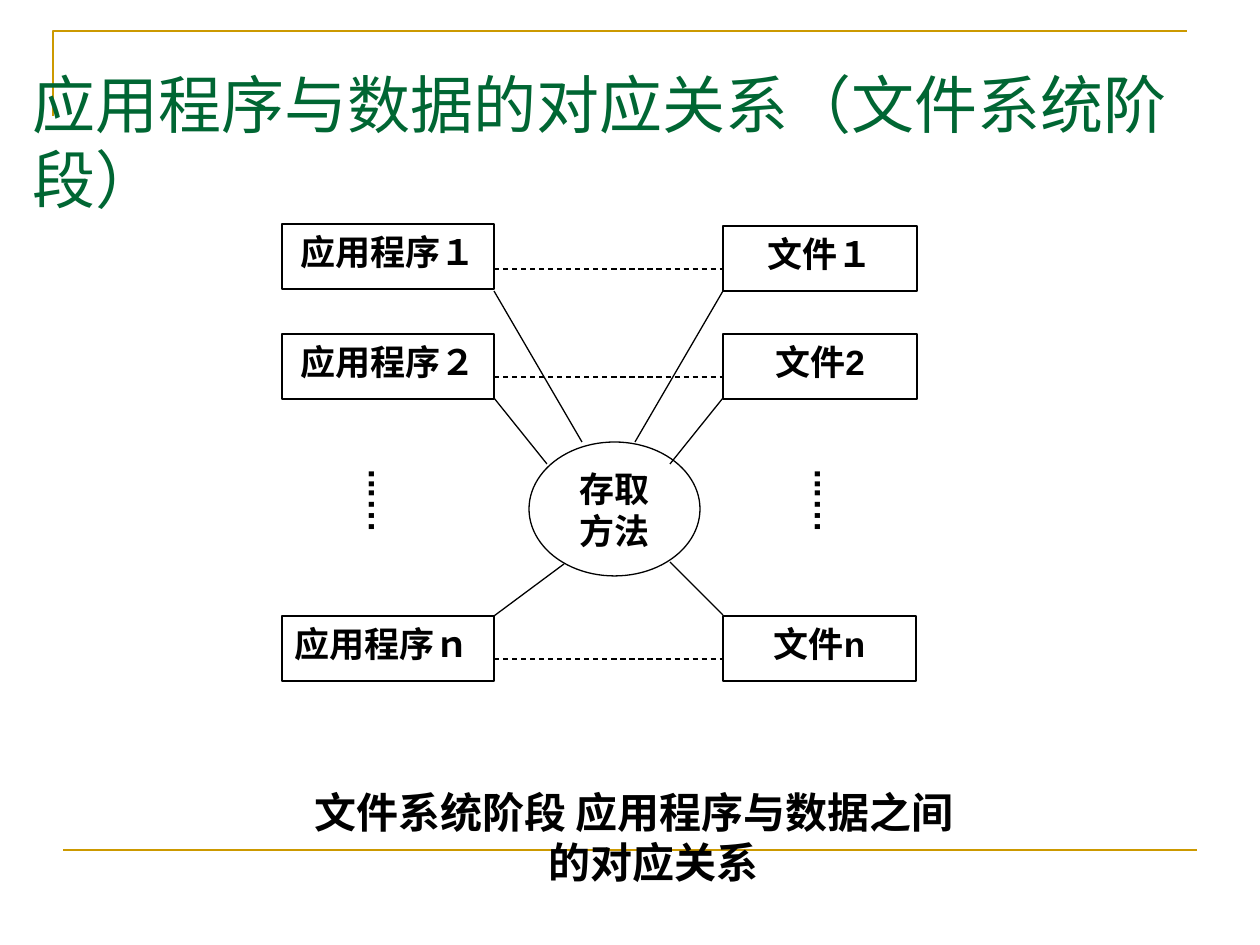
"""Build a slide relating application programs to data files through access methods."""
from lxml.etree import SubElement as sub
from pptx import Presentation
from pptx.dml.color import RGBColor as Rgb
from pptx.enum.dml import MSO_LINE as Dash
from pptx.enum.shapes import MSO_CONNECTOR as Conn, MSO_SHAPE as Shape
from pptx.enum.text import MSO_ANCHOR as Anchor, MSO_AUTO_SIZE as Fit, PP_ALIGN as Align
from pptx.oxml.ns import qn
from pptx.util import Pt

SCALE = 914400 / 126
HUES = {"ink": "000000", "paper": "FFFFFF", "gold": "CC9900", "green": "006633"}


def px(num):
    return round(num * SCALE)


def hue(name):
    return Rgb.from_string(HUES[name])


def pen(item, color="ink", width=0.75, dash=False):
    item.line.color.rgb = hue(color)
    item.line.width = Pt(width)
    if dash:
        item.line.dash_style = Dash.DASH


def write(item, text, size=20, font="Arial", color="ink", bold=True,
          align=Align.CENTER, before=0, hang=0):
    frame = item.text_frame
    frame.word_wrap = True
    frame.vertical_anchor = Anchor.TOP
    para = frame.paragraphs[0]
    para.alignment = align
    if before:
        para.space_before = Pt(before)
    if hang:
        props = para._p.get_or_add_pPr()
        props.set("marL", str(px(hang)))
        props.set("indent", str(-px(hang)))
    run = para.add_run()
    run.text = text
    run.font.size = Pt(size)
    run.font.name = font
    run.font.bold = bold
    run.font.color.rgb = hue(color)


def label(slide, box, text, upright=False, grow=False, **form):
    item = slide.shapes.add_textbox(*map(px, box))
    write(item, text, **form)
    if upright:
        item.text_frame._txBody.bodyPr.set("vert", "eaVert")
    if grow:
        item.text_frame.auto_size = Fit.SHAPE_TO_FIT_TEXT


def node(slide, kind, box, text, **form):
    item = slide.shapes.add_shape(kind, *map(px, box))
    item.shadow.inherit = False
    item.fill.solid()
    item.fill.fore_color.rgb = hue("paper")
    pen(item)
    write(item, text, **form)


def link(slide, ends, **style):
    item = slide.shapes.add_connector(Conn.STRAIGHT, *map(px, ends))
    pen(item, **style)
    sub(item._element.spPr, qn("a:effectLst"))


def corner(slide, points):
    first, *rest = [(px(x), px(y)) for x, y in points]
    build = slide.shapes.build_freeform(*first)
    build.add_line_segments(rest, close=False)
    item = build.convert_to_shape()
    item.shadow.inherit = False
    item.fill.background()
    pen(item, "gold", 1.5)


def main():
    deck = Presentation()
    deck.slide_width, deck.slide_height = px(1260), px(945)
    slide = deck.slides.add_slide(deck.slide_layouts[6])

    corner(slide, [(53, 116), (53, 31), (1187, 31)])
    link(slide, (63, 850, 1197, 850), color="gold", width=1.5)
    label(slide, (20, 59, 1245, 84), "应用程序与数据的对应关系（文件系统阶段）",
          size=36, font="Times New Roman", color="green", bold=False, align=Align.LEFT)

    left, right = 494, 723
    rows = [
        ("应用程序１", 224, "文件１", 226, 194, 269, Align.CENTER),
        ("应用程序２", 334, "文件2", 334, 194, 377, Align.CENTER),
        ("应用程序ｎ", 616, "文件n", 616, 193, 659, Align.JUSTIFY),
    ]
    for app, top, data, high, wide, mid, align in rows:
        node(slide, Shape.RECTANGLE, (282, top, left - 282, 65), app, align=align)
        node(slide, Shape.RECTANGLE, (right, high, wide, 65), data)
        link(slide, (left, mid, right, mid), dash=True)

    node(slide, Shape.OVAL, (529, 442, 171, 134), "存取方法")
    for top, reach, end in [(291, 88, 442), (398, 53, 464)]:
        link(slide, (left, top, left + reach, end))
        link(slide, (right, top, right - reach, end))
    link(slide, (left, 616, 564, 564))
    link(slide, (right, 615, 670, 562))

    for x, tall in [(342, 115), (788, 125)]:
        label(slide, (x, 457, 68, tall), "...…", upright=True, grow=True, before=10)
    label(slide, (292, 780, 684, 50), "文件系统阶段 应用程序与数据之间的对应关系 ",
          size=24, hang=48, grow=True)
    deck.save("out.pptx")


if __name__ == "__main__":
    main()
